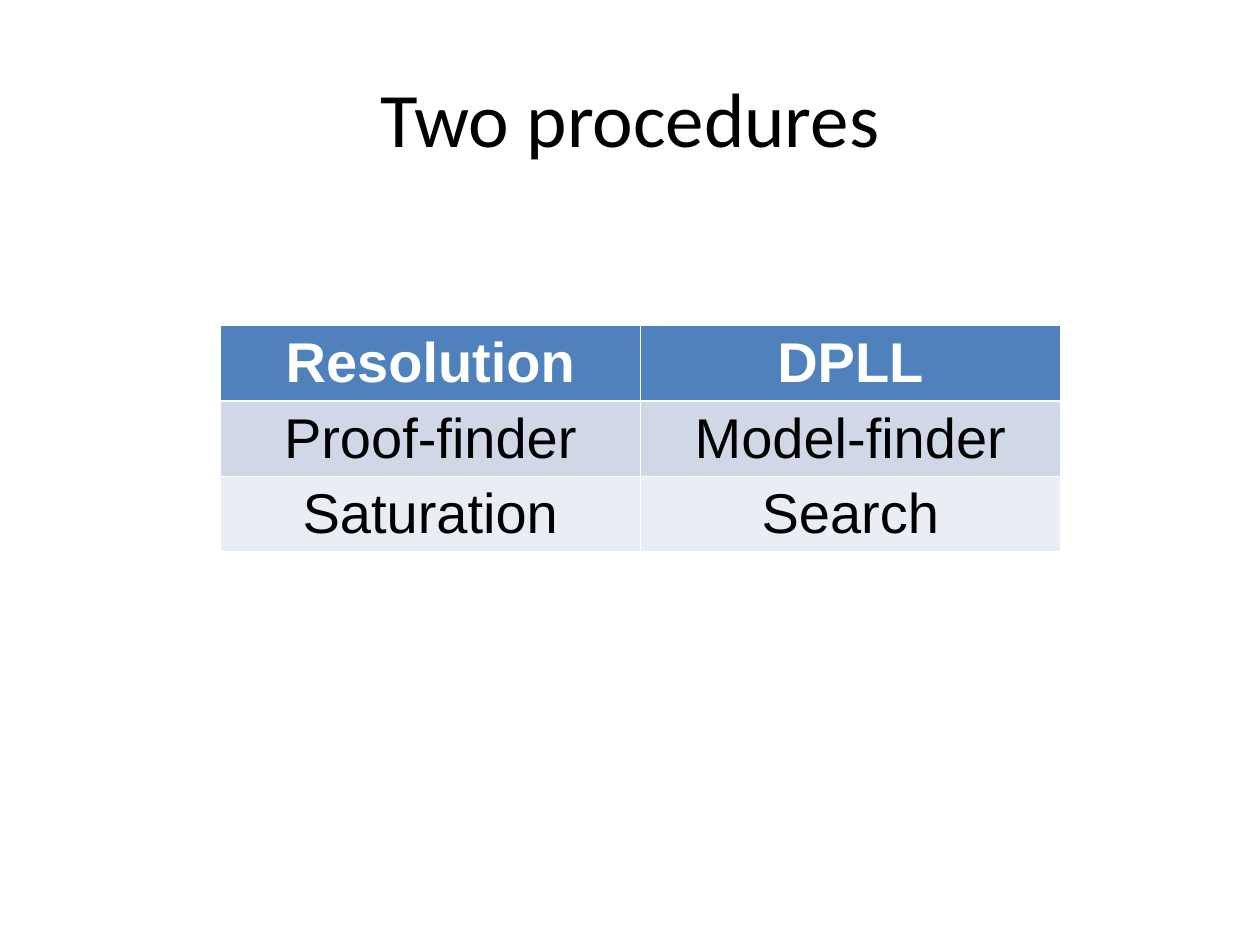
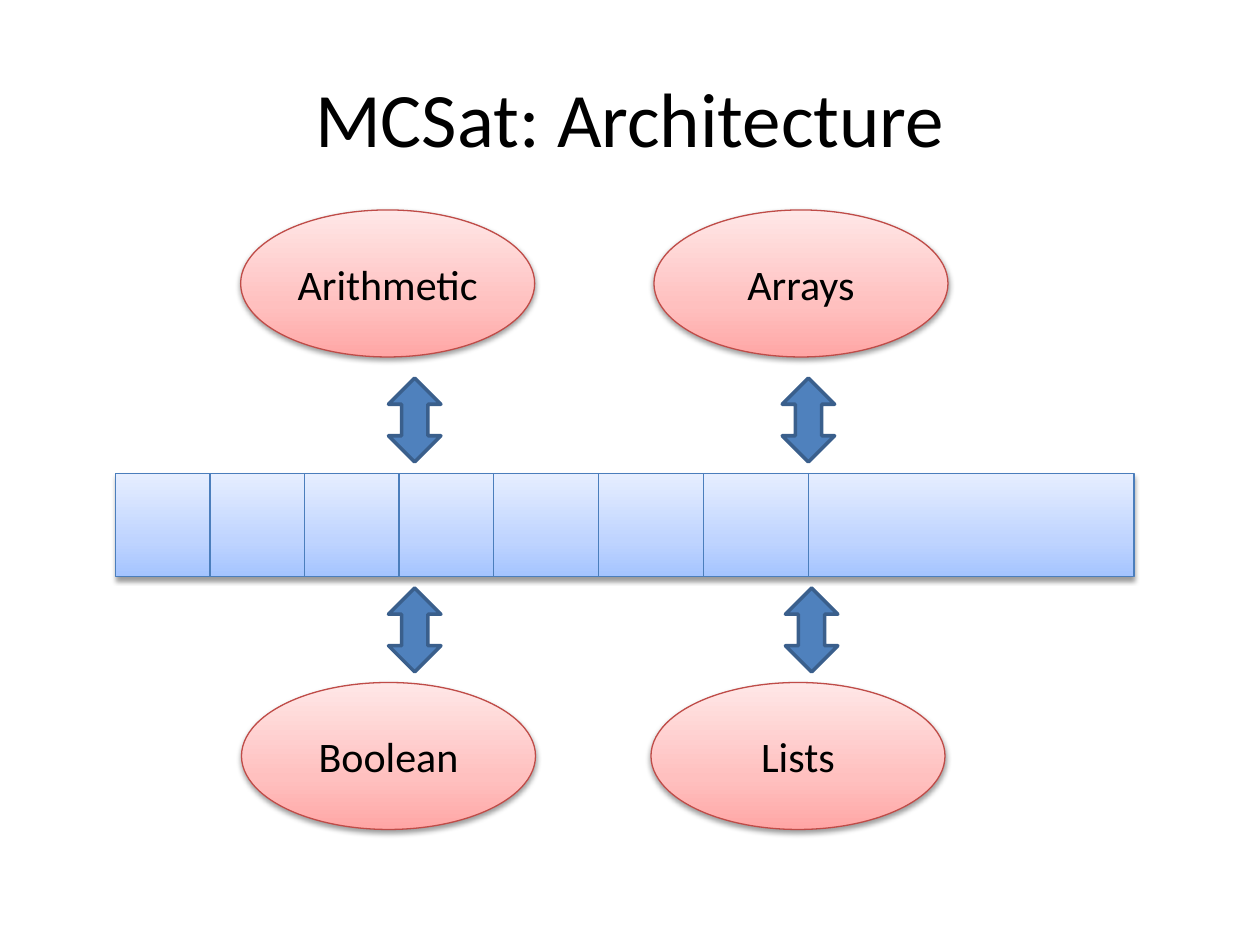
"""Build two slides: a table of two procedures and the MCSat architecture."""
import copy
from dataclasses import dataclass

import lxml.etree
import pptx
import pptx.dml.color
import pptx.enum.shapes
import pptx.enum.text
import pptx.oxml.ns
import pptx.util

Pt = pptx.util.Pt
RGB = pptx.dml.color.RGBColor.from_string
qn = pptx.oxml.ns.qn
KIND = pptx.enum.shapes.MSO_SHAPE
CENTER = pptx.enum.text.PP_ALIGN.CENTER
MIDDLE = pptx.enum.text.MSO_ANCHOR.MIDDLE


@dataclass(frozen=True)
class Theme:
    black: str = "000000"
    white: str = "FFFFFF"
    blue: str = "4F81BD"
    edge: str = "3A5F8C"
    rule: str = "4B7EBC"
    rim: str = "BF4C48"
    bands: tuple = ("4F81BD", "D0D8E8", "E9EDF4")
    sky: tuple = ("A4C4FF", "BFD4FF", "E6EEFF")
    rose: tuple = ("FFA6A5", "FFC0BF", "FFE7E7")
    head: str = "Calibri"
    body: str = "Arial"
    title: int = 44
    cell: int = 32
    label: int = 24


theme = Theme()


def write(frame, text, font, size, color, bold=False):
    frame.text = text
    para = frame.paragraphs[0]
    para.alignment = CENTER
    face = para.runs[0].font
    face.name, face.size, face.bold = font, Pt(size), bold
    face.color.rgb = RGB(color)


def shade(shape, tones, line):
    shape.fill.gradient()
    shape.fill.gradient_angle = 90
    stops = shape._element.spPr.find(".//" + qn("a:gsLst"))
    stops.insert(1, copy.deepcopy(stops[0]))
    for stop, tone, place in zip(shape.fill.gradient_stops, tones, (0, 0.35, 1)):
        stop.color.rgb = RGB(tone)
        stop.position = place
    shape.line.color.rgb = RGB(line)
    shape.line.width = Pt(0.75)
    shape.shadow.inherit = False
    glow = lxml.etree.SubElement(
        shape._element.spPr.find(qn("a:effectLst")), qn("a:outerShdw"),
        blurRad=str(Pt(3.1)), dist=str(Pt(1.6)), dir="5400000", rotWithShape="0")
    tint = lxml.etree.SubElement(glow, qn("a:srgbClr"), val=theme.black)
    lxml.etree.SubElement(tint, qn("a:alpha"), val="38000")


deck = pptx.Presentation()
deck.slide_width, deck.slide_height = Pt(720), Pt(540)
pages = []
for name in ("Two procedures", "MCSat: Architecture"):
    page = deck.slides.add_slide(deck.slide_layouts[5])
    title = page.shapes.title
    title.left, title.top, title.width, title.height = Pt(36), Pt(21.6), Pt(648), Pt(90)
    title.text_frame.vertical_anchor = MIDDLE
    write(title.text_frame, name, theme.head, theme.title, theme.black)
    pages.append(page.shapes)
first, second = pages

rows = (("Resolution", "DPLL"), ("Proof-finder", "Model-finder"), ("Saturation", "Search"))
table = first.add_table(3, 2, Pt(126), Pt(186), Pt(480), Pt(128.4)).table
for i, row in enumerate(rows):
    for j, word in enumerate(row):
        cell = table.cell(i, j)
        cell.fill.solid()
        cell.fill.fore_color.rgb = RGB(theme.bands[i])
        ink = theme.black if i else theme.white
        write(cell.text_frame, word, theme.body, theme.cell, ink, i == 0)

trail = second.add_shape(KIND.RECTANGLE, Pt(66), Pt(270.5), Pt(582), Pt(59))
shade(trail, theme.sky, theme.rule)

wide = [120 + 54 * i for i in range(4)]
for x in wide + [342 + 60 * i for i in range(3)]:
    mark = second.add_connector(
        pptx.enum.shapes.MSO_CONNECTOR.STRAIGHT, Pt(x), Pt(270.5), Pt(x), Pt(329.5))
    mark.line.color.rgb = RGB(theme.rule)
    mark.line.width = Pt(0.75)
    lxml.etree.SubElement(mark._element.spPr, qn("a:effectLst"))

parts = (
    ("Arithmetic", 137.5, 120, 222, 216),
    ("Arrays", 373.7, 120, 447, 216),
    ("Boolean", 138, 390, 222, 336),
    ("Lists", 372, 390, 448.8, 336),
)
for word, x, y, left, top in parts:
    oval = second.add_shape(KIND.OVAL, Pt(x), Pt(y), Pt(168), Pt(84))
    shade(oval, theme.rose, theme.rim)
    oval.text_frame.vertical_anchor = MIDDLE
    write(oval.text_frame, word, theme.head, theme.label, theme.black)

    arrow = second.add_shape(KIND.UP_DOWN_ARROW, Pt(left), Pt(top), Pt(30), Pt(48))
    arrow.fill.solid()
    arrow.fill.fore_color.rgb = RGB(theme.blue)
    arrow.line.color.rgb = RGB(theme.edge)
    arrow.line.width = Pt(2)
    arrow.shadow.inherit = False

deck.save("out.pptx")
